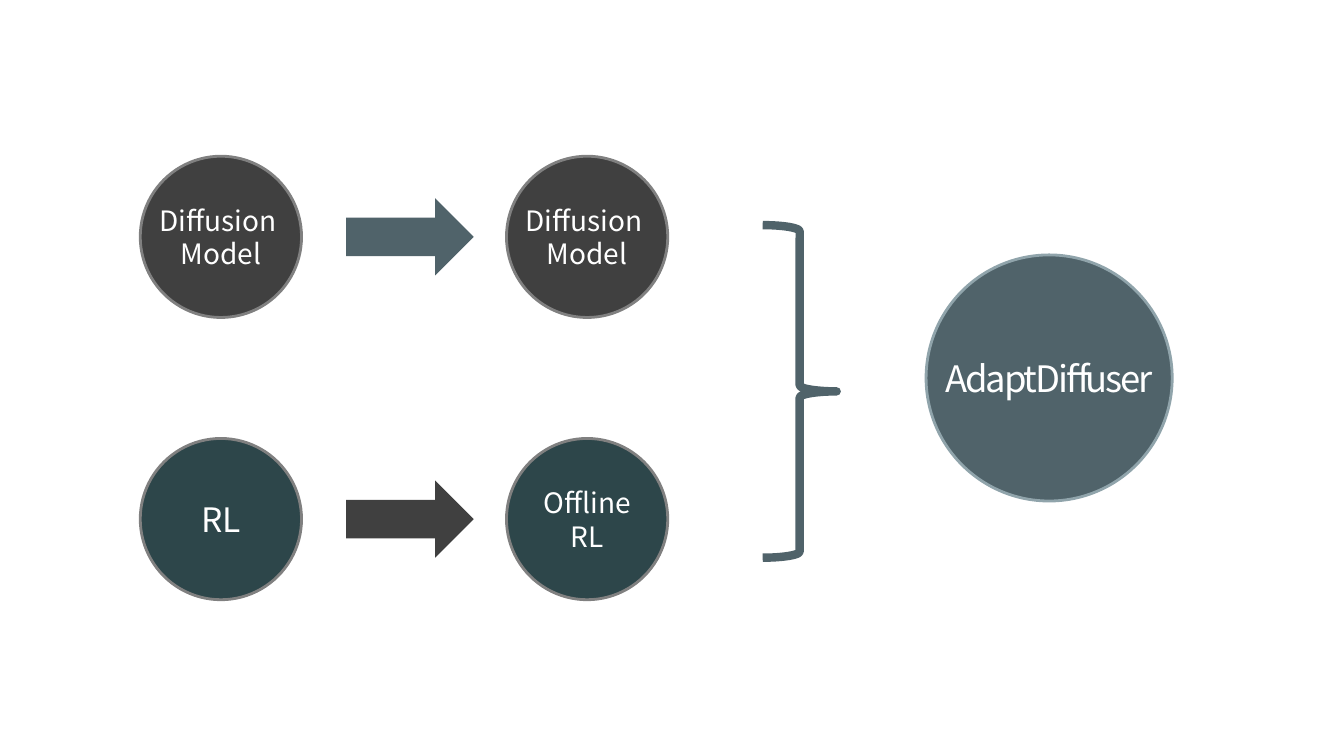
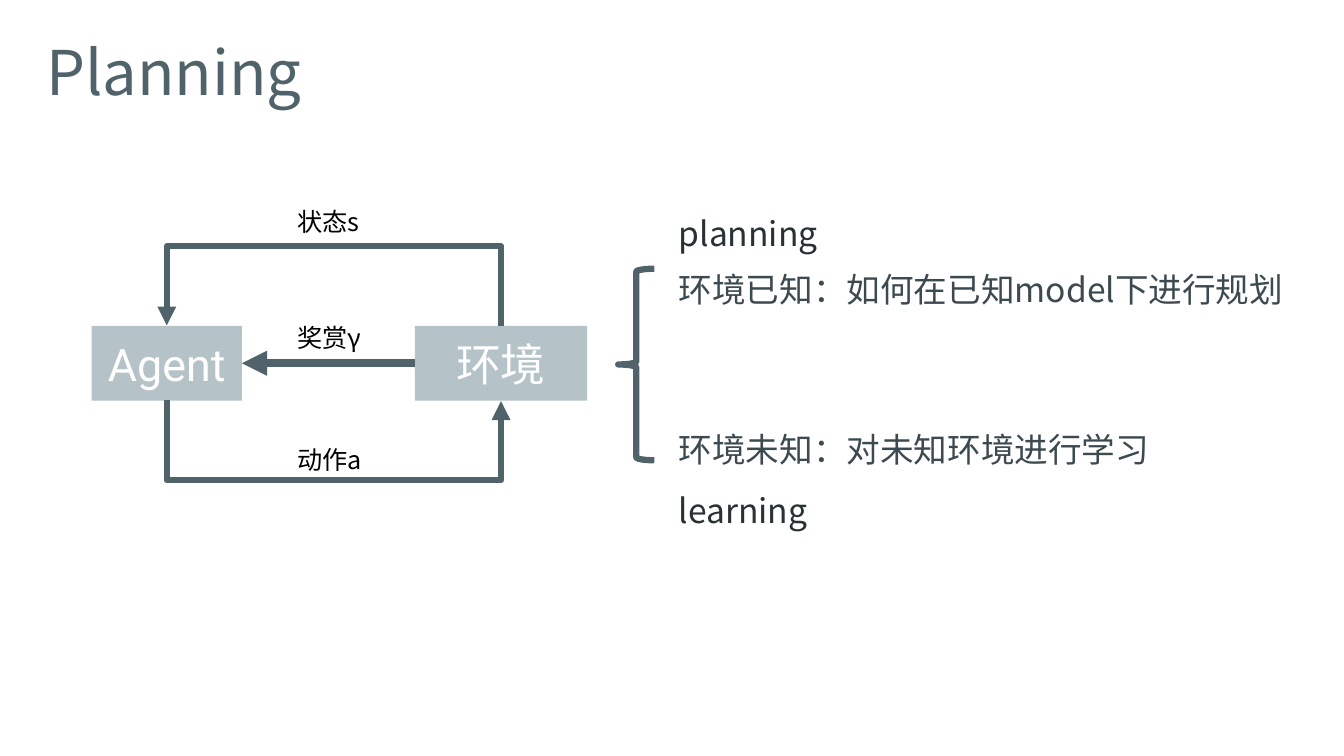
from typing import NamedTuple

from lxml.etree import SubElement
from pptx import Presentation
from pptx.dml.color import RGBColor
from pptx.enum.shapes import MSO_CONNECTOR, MSO_SHAPE
from pptx.enum.text import MSO_ANCHOR, PP_ALIGN
from pptx.oxml.ns import qn
from pptx.util import Inches, Pt

COLUMNS, ROWS = 160, 90
WIDTH, HEIGHT = Inches(13.333), Inches(7.5)
FONT, BOX_FONT = "Noto Sans CJK JP", "Roboto"
SLATE, CHARCOAL, TEAL, MIST = "50636A", "404040", "2D464A", "B5C2C7"
GREY, PALE_SLATE, WHITE, BLACK = "808080", "90A4AB", "FFFFFF", "000000"
HEADING, STATEMENT = "283235", "3C4A50"


class Box(NamedTuple):
    left: float
    top: float
    width: float
    height: float


class Style(NamedTuple):
    size: float
    color: str = WHITE
    font: str = FONT
    align: PP_ALIGN = PP_ALIGN.CENTER
    tracking: float = 0
    line_spacing: float = 1


class Circle(NamedTuple):
    text: str
    x: float
    y: float
    diameter: float
    fill: str
    outline: str
    style: Style


class Label(NamedTuple):
    text: str
    box: Box
    style: Style
    inset: float = 0


def rgb(color: str) -> RGBColor:
    return RGBColor.from_string(color)


def col(n: float) -> int:
    return round(WIDTH * n / COLUMNS)


def row(n: float) -> int:
    return round(HEIGHT * n / ROWS)


def centred(x: float, y: float, width: float, height: float) -> Box:
    return Box(x - width / 2, y - height / 2, width, height)


def place(box: Box) -> tuple:
    return col(box.left), row(box.top), col(box.width), row(box.height)


def write(tf, text: str, style: Style) -> None:
    tf.text = text
    for p in tf.paragraphs:
        p.alignment = style.align
        p.line_spacing = style.line_spacing
        for r in p.runs:
            r.font.size = Pt(style.size)
            r.font.name = style.font
            r.font.color.rgb = rgb(style.color)
            rPr = r.font._element
            SubElement(rPr, qn("a:ea")).set("typeface", style.font)
            if style.tracking:
                rPr.set("spc", str(round(style.tracking * 100)))


def add_shape(s, kind: MSO_SHAPE, box: Box, fill: str = "", outline: str = "", weight: float = 2):
    sp = s.shapes.add_shape(kind, *place(box))
    sp.shadow.inherit = False
    if fill:
        sp.fill.solid()
        sp.fill.fore_color.rgb = rgb(fill)
    else:
        sp.fill.background()
    if outline:
        sp.line.color.rgb = rgb(outline)
        sp.line.width = Pt(weight)
    else:
        sp.line.fill.background()
    return sp


def add_filled_text(s, kind: MSO_SHAPE, box: Box, text: str, style: Style, fill: str, outline: str = ""):
    sp = add_shape(s, kind, box, fill, outline)
    tf = sp.text_frame
    tf.word_wrap = False
    tf.vertical_anchor = MSO_ANCHOR.MIDDLE
    write(tf, text, style)
    return sp


def add_circle(s, circle: Circle) -> None:
    box = centred(circle.x, circle.y, circle.diameter, circle.diameter)
    add_filled_text(s, MSO_SHAPE.OVAL, box, circle.text, circle.style, circle.fill, circle.outline)


def add_label(s, label: Label) -> None:
    tf = s.shapes.add_textbox(*place(label.box)).text_frame
    tf.word_wrap = True
    tf.margin_left = tf.margin_right = col(label.inset)
    tf.margin_top = tf.margin_bottom = row(label.inset / 2)
    write(tf, label.text, label.style)


def add_arrow(s, kind: MSO_CONNECTOR, start: tuple, end: tuple, weight: float):
    line = s.shapes.add_connector(kind, col(start[0]), row(start[1]), col(end[0]), row(end[1]))
    line.line.color.rgb = rgb(SLATE)
    line.line.width = Pt(weight)
    SubElement(line.line._get_or_add_ln(), qn("a:tailEnd")).set("type", "triangle")
    SubElement(line._element.spPr, qn("a:effectLst"))
    return line


def add_loop(s, x1: float, x2: float, y: float, rise: float, flip: str) -> None:
    thin = 0.1
    x, half = (x1 + x2) / 2, (x2 - x1) / 2
    start, end = (x - thin / 2, y - half), (x + thin / 2, y + half)
    line = add_arrow(s, MSO_CONNECTOR.ELBOW, start, end, 4.5)
    spPr = line._element.spPr
    xfrm = spPr.find(qn("a:xfrm"))
    xfrm.set("rot", str(270 * 60000))
    xfrm.set(flip, "1")
    guides = spPr.find(qn("a:prstGeom")).find(qn("a:avLst"))
    guide = SubElement(guides, qn("a:gd"))
    guide.set("name", "adj1")
    guide.set("fmla", f"val {round(rise / thin * 100000)}")


def build_overview(s) -> None:
    first, second, upper, lower = 26.3, 69.9, 28.2, 61.8
    small, large = Style(20), Style(24)
    circles = [
        Circle("Diffusion \nModel", first, upper, 19.2, CHARCOAL, GREY, small),
        Circle("Diffusion \nModel", second, upper, 19.2, CHARCOAL, GREY, small),
        Circle("RL", first, lower, 19.2, TEAL, GREY, large),
        Circle("Offline\nRL", second, lower, 19.2, TEAL, GREY, small),
        Circle("AdaptDiffuser", 124.9, 45, 29.3, SLATE, PALE_SLATE, Style(26, tracking=-1.5)),
    ]
    for circle in circles:
        add_circle(s, circle)
    for y, fill in ((upper, SLATE), (lower, CHARCOAL)):
        add_shape(s, MSO_SHAPE.RIGHT_ARROW, centred(48.8, y, 15.2, 9.2), fill)
    add_shape(s, MSO_SHAPE.RIGHT_BRACE, Box(90.8, 26.8, 8.8, 39.6), outline=SLATE, weight=6)


def build_planning(s) -> None:
    left = PP_ALIGN.LEFT
    add_label(s, Label("Planning", Box(5.5, 4.1, 117.8, 8.9), Style(44, SLATE, align=left)))

    notes = [
        ("planning", 25.4, HEADING),
        ("环境已知：如何在已知model下进行规划", 32, STATEMENT),
        ("环境未知：对未知环境进行学习", 51.1, STATEMENT),
        ("learning", 58.3, HEADING),
    ]
    for text, top, color in notes:
        add_label(s, Label(text, Box(80.8, top, 78, 4.8), Style(24, color, align=left)))
    add_shape(s, MSO_SHAPE.LEFT_BRACE, Box(73.6, 32, 4.3, 22.8), outline=SLATE, weight=4.5)

    agent_box, world_box = Box(10.9, 38.8, 17.9, 8.9), Box(49.4, 38.8, 20.5, 8.9)
    agent, world = (
        add_filled_text(s, MSO_SHAPE.RECTANGLE, box, text, Style(32, font=BOX_FONT), MIST)
        for text, box in (("Agent", agent_box), ("环境", world_box))
    )
    middle = agent_box.top + agent_box.height / 2
    reward = add_arrow(s, MSO_CONNECTOR.STRAIGHT, (world_box.left, middle),
                       (agent_box.left + agent_box.width, middle), 6)
    reward.begin_connect(world, 1)
    reward.end_connect(agent, 3)

    agent_x, world_x = (box.left + box.width / 2 for box in (agent_box, world_box))
    for y, flip in ((agent_box.top, "flipV"), (agent_box.top + agent_box.height, "flipH")):
        add_loop(s, agent_x, world_x, y, 9.6, flip)

    signal = Style(18, BLACK, align=left, line_spacing=1.2)
    for text, top in (("状态s", 23.2), ("奖赏γ", 37), ("动作a", 51.6)):
        add_label(s, Label(text, Box(34.2, top, 14, 5.4), signal, inset=1.2))


def main() -> None:
    prs = Presentation()
    prs.slide_width, prs.slide_height = WIDTH, HEIGHT
    for build in (build_overview, build_planning):
        build(prs.slides.add_slide(prs.slide_layouts[6]))
    prs.save("out.pptx")


if __name__ == "__main__":
    main()
